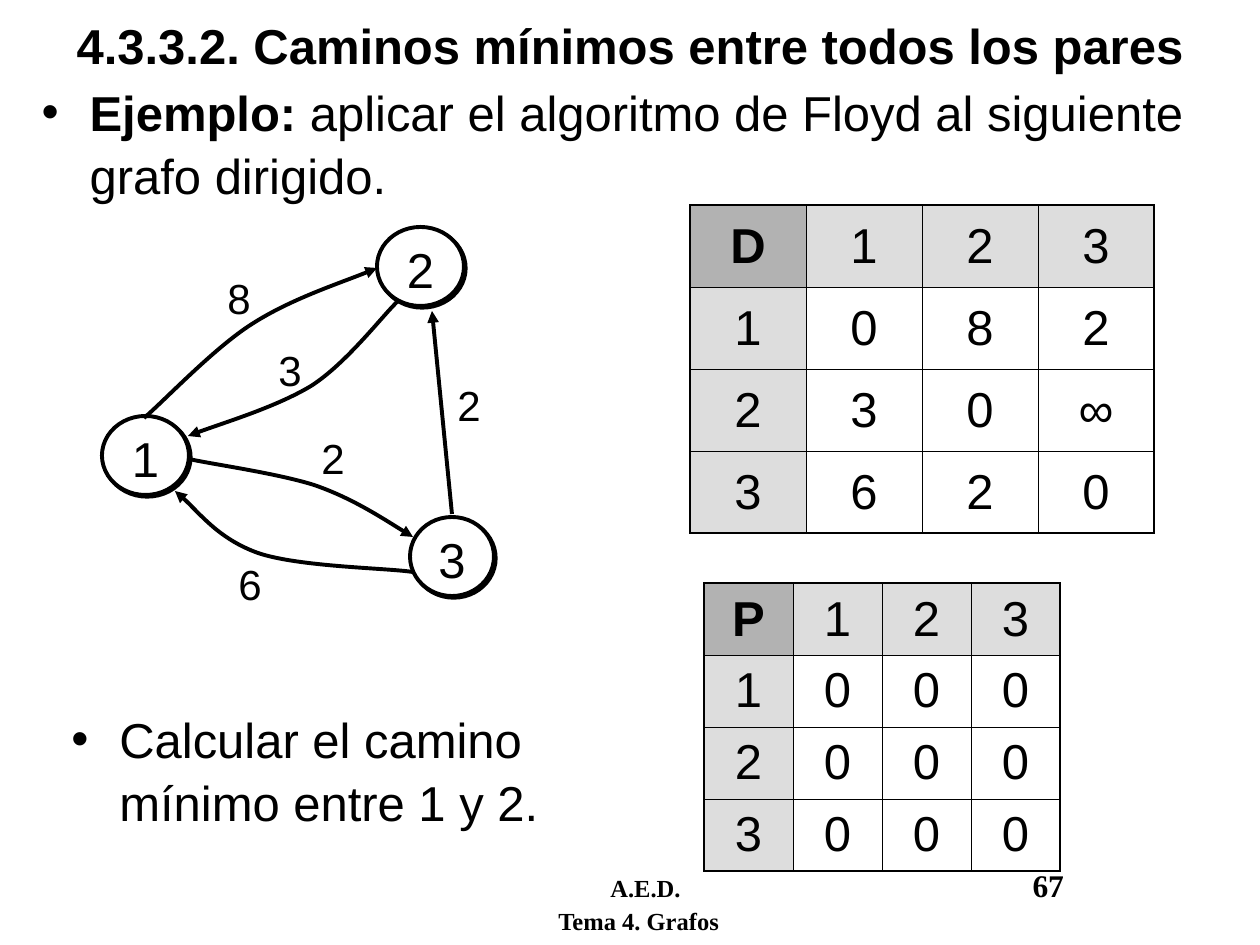
from typing import NamedTuple

from lxml.etree import SubElement as Sub
from pptx import Presentation
from pptx.dml.color import RGBColor
from pptx.enum.shapes import MSO_CONNECTOR as Link, MSO_SHAPE as Kind
from pptx.enum.text import MSO_ANCHOR as Anchor, MSO_AUTO_SIZE as Auto, PP_ALIGN as Align
from pptx.oxml.ns import qn
from pptx.util import Pt

PX = 914400 / 126
BLACK, WHITE, GRAY, PALE = "000000", "FFFFFF", "B2B2B2", "DDDDDD"
LEAD = 1.07


class Node(NamedTuple):
    name: str
    x: int
    y: int
    w: int


class Label(NamedTuple):
    text: str
    x: int
    y: int


class Grid(NamedTuple):
    x: int
    y: int
    w: int
    h: int
    rows: list[str]


NODES = [Node("1", 102, 416, 87), Node("3", 410, 517, 84), Node("2", 377, 227, 87)]
# Each curve: a start point, then two Bézier segments of three points
CURVES = [
    [(144, 418), (163, 402), (214, 348), (252, 324), (291, 299), (350, 280), (377, 268)],
    [(398, 301), (383, 315), (347, 363), (311, 386), (276, 407), (213, 426), (188, 436)],
    [(413, 572), (388, 568), (299, 567), (258, 553), (219, 539), (193, 505), (175, 491)],
    [(189, 459), (210, 464), (276, 473), (314, 485), (352, 498), (393, 525), (413, 537)],
]
LABELS = [Label("8", 215, 263), Label("3", 266, 335), Label("2", 445, 370),
          Label("6", 226, 549), Label("2", 309, 423)]
GRIDS = [Grid(690, 205, 116, 82, ["D123", "1082", "230∞", "3620"]),
         Grid(704, 583, 89, 72, ["P123", "1000", "2000", "3000"])]


def emu(px: int) -> int:
    return round(px * PX)


def box(*px: int) -> list[int]:
    return [emu(n) for n in px]


def rgb(code: str) -> RGBColor:
    return RGBColor.from_string(code)


def style(para, size: int, bold=None, face: str = "Arial", lead: float = LEAD) -> None:
    para.line_spacing = lead
    font = para.font
    font.name, font.size, font.bold = face, Pt(size), bold
    font.color.rgb = rgb(BLACK)


def place(shape, *px: int) -> None:
    shape.left, shape.top, shape.width, shape.height = box(*px)


def text_box(shapes, *px: int):
    frame = shapes.add_textbox(*box(*px)).text_frame
    frame.word_wrap = True
    return frame


def bullet(para) -> None:
    props = para._p.get_or_add_pPr()
    props.set("marL", str(emu(48)))
    props.set("indent", str(-emu(48)))
    Sub(Sub(props, qn("a:buClr")), qn("a:srgbClr"), val=BLACK)
    Sub(props, qn("a:buFont"), typeface="Arial")
    Sub(props, qn("a:buChar"), char="•")
    para.space_before = Pt(0)
    style(para, 28)


def stroke(shape, arrow: bool = False) -> None:
    shape.line.color.rgb = rgb(BLACK)
    shape.line.width = Pt(2.25)
    if arrow:
        Sub(shape.line._get_or_add_ln(), qn("a:tailEnd"), type="triangle")


def draw_node(shapes, node: Node) -> None:
    oval = shapes.add_shape(Kind.OVAL, *box(node.x, node.y, node.w, 79))
    oval.fill.solid()
    oval.fill.fore_color.rgb = rgb(WHITE)
    stroke(oval)
    oval.shadow.inherit = False
    glow = Sub(oval._element.spPr.find(qn("a:effectLst")), qn("a:outerShdw"),
               blurRad="0", dist=str(Pt(1.4)), dir="2700000", algn="ctr", rotWithShape="0")
    Sub(glow, qn("a:srgbClr"), val=BLACK)
    frame = oval.text_frame
    frame.word_wrap = False
    frame.vertical_anchor = Anchor.MIDDLE
    para = frame.paragraphs[0]
    para.text, para.alignment = node.name, Align.CENTER
    style(para, 28)


def draw_curve(shapes, points: list[tuple[int, int]]) -> None:
    pen = shapes.build_freeform(*points[0], scale=PX)
    pen.add_line_segments(points[1:], close=False)
    curve = pen.convert_to_shape()
    curve.fill.background()
    curve.shadow.inherit = False
    stroke(curve, arrow=True)
    # Join every three straight steps into one Bézier segment
    steps = list(curve._element.iter(qn("a:lnTo")))
    for i in range(0, len(steps), 3):
        route = steps[i].getparent()
        bend = Sub(route, qn("a:cubicBezTo"))
        for step in steps[i:i + 3]:
            bend.append(step[0])
            route.remove(step)


def draw_line(shapes, *px: int) -> None:
    line = shapes.add_connector(Link.STRAIGHT, *box(*px))
    stroke(line, arrow=True)
    Sub(line._element.spPr, qn("a:effectLst"))


def draw_label(shapes, label: Label) -> None:
    para = text_box(shapes, label.x, label.y, 83, 63).paragraphs[0]
    para.text = label.text
    style(para, 24)


def edge(props, side: str, outer: bool) -> None:
    line = Sub(props, qn(f"a:{side}"), w=str(Pt(1.08 if outer else 0.45)))
    Sub(Sub(line, qn("a:solidFill")), qn("a:srgbClr"), val=BLACK)


def draw_grid(shapes, grid: Grid) -> None:
    size = len(grid.rows)
    last = size - 1
    table = shapes.add_table(
        size, size, *box(grid.x, grid.y, grid.w * size, grid.h * size)).table
    for i, row in enumerate(grid.rows):
        table.rows[i].height = emu(grid.h)
        table.columns[i].width = emu(grid.w)
        for j, mark in enumerate(row):
            cell = table.cell(i, j)
            corner = i == j == 0
            props = cell._tc.get_or_add_tcPr()
            for side, outer in (("lnL", j == 0), ("lnR", j == last),
                                ("lnT", i == 0), ("lnB", i == last)):
                edge(props, side, outer)
            cell.fill.solid()
            shade = GRAY if corner else WHITE if i and j else PALE
            cell.fill.fore_color.rgb = rgb(shade)
            cell.vertical_anchor = Anchor.MIDDLE
            para = cell.text_frame.paragraphs[0]
            para.text, para.alignment = mark, Align.CENTER
            style(para, 28, corner, lead=1.0)


def draw_foot(shapes) -> None:
    frame = text_box(shapes, 456, 857, 731, 63)
    top, low = frame.paragraphs[0], frame.add_paragraph()
    for para, left in ((top, 142), (low, 90)):
        para._p.get_or_add_pPr().set("marL", str(emu(left)))
    tabs = Sub(top._p.get_or_add_pPr(), qn("a:tabLst"))
    Sub(tabs, qn("a:tab"), pos=str(emu(629)), algn="l")
    top.add_run().text = "A.E.D.\t"
    page = top.add_run()
    page.text, page.font.size = "67", Pt(18)
    low.text = "Tema 4. Grafos"
    for para in (top, low):
        style(para, 14, True, "Times New Roman")


def main() -> None:
    deck = Presentation()
    deck.slide_width, deck.slide_height = box(1260, 945)
    slide = deck.slides.add_slide(deck.slide_layouts[1])
    shapes = slide.shapes
    draw_foot(shapes)

    # Title and task
    title, body = shapes.title, slide.placeholders[1]
    place(title, 42, 0, 1176, 86)
    place(body, 29, 72, 1197, 154)
    for holder in (title, body):
        holder.text_frame.auto_size = Auto.NONE
    title.text_frame.vertical_anchor = Anchor.MIDDLE
    head = title.text_frame.paragraphs[0]
    head.text, head.alignment = "4.3.3.2. Caminos mínimos entre todos los pares", Align.CENTER
    style(head, 28, True)
    task = body.text_frame.paragraphs[0]
    lead = task.add_run()
    lead.text, lead.font.bold = "Ejemplo:", True
    task.add_run().text = " aplicar el algoritmo de Floyd al siguiente grafo dirigido."
    bullet(task)

    # Directed graph
    graph = shapes.add_group_shape().shapes
    for node in NODES:
        draw_node(graph, node)
    for points in CURVES:
        draw_curve(graph, points)
    draw_line(graph, 452, 514, 432, 311)
    for label in LABELS:
        draw_label(graph, label)

    # Distance and path tables
    for grid in GRIDS:
        draw_grid(shapes, grid)

    # Question
    ask = text_box(shapes, 59, 699, 593, 146).paragraphs[0]
    ask.text = "Calcular el camino mínimo entre 1 y 2."
    bullet(ask)
    deck.save("out.pptx")


if __name__ == "__main__":
    main()
